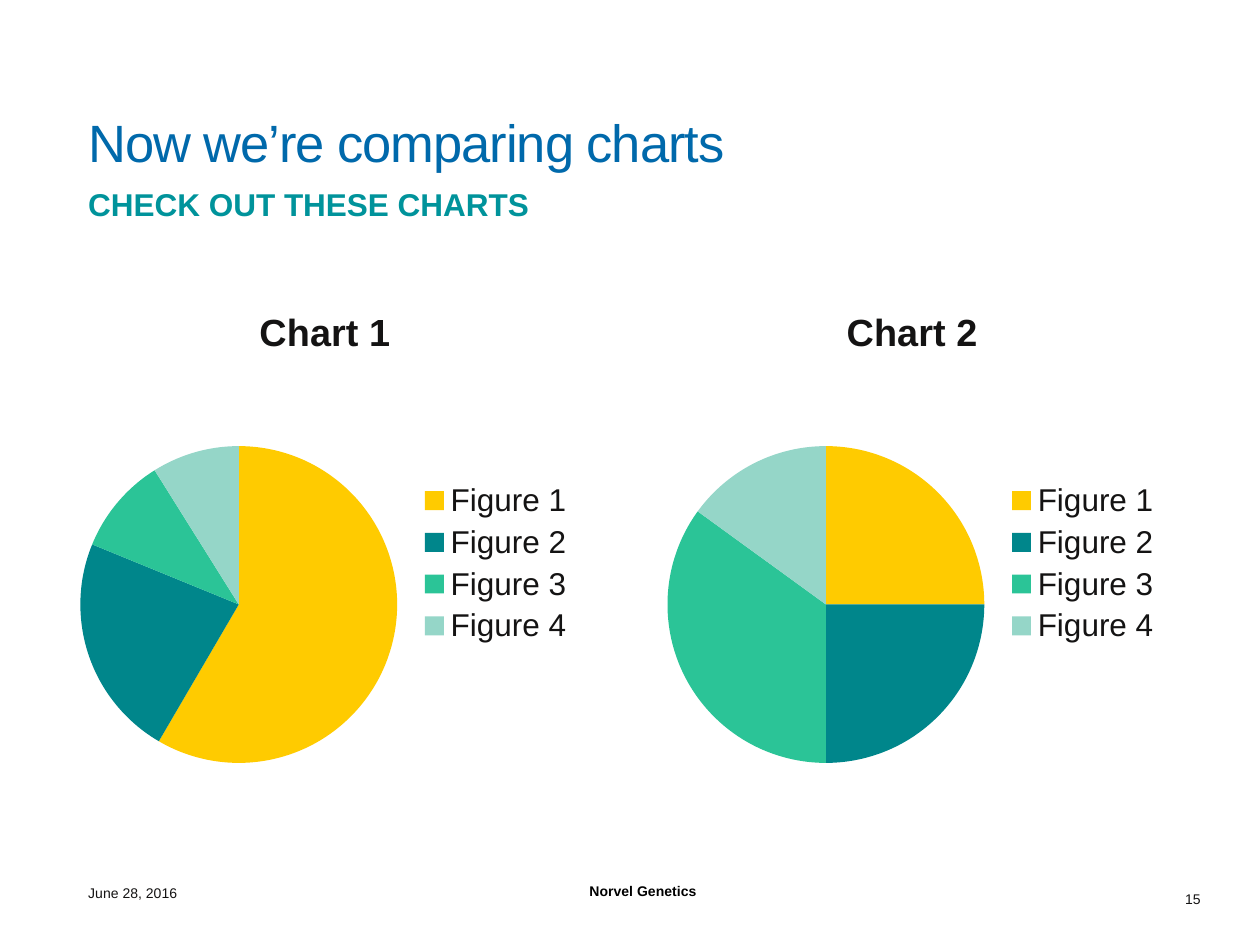
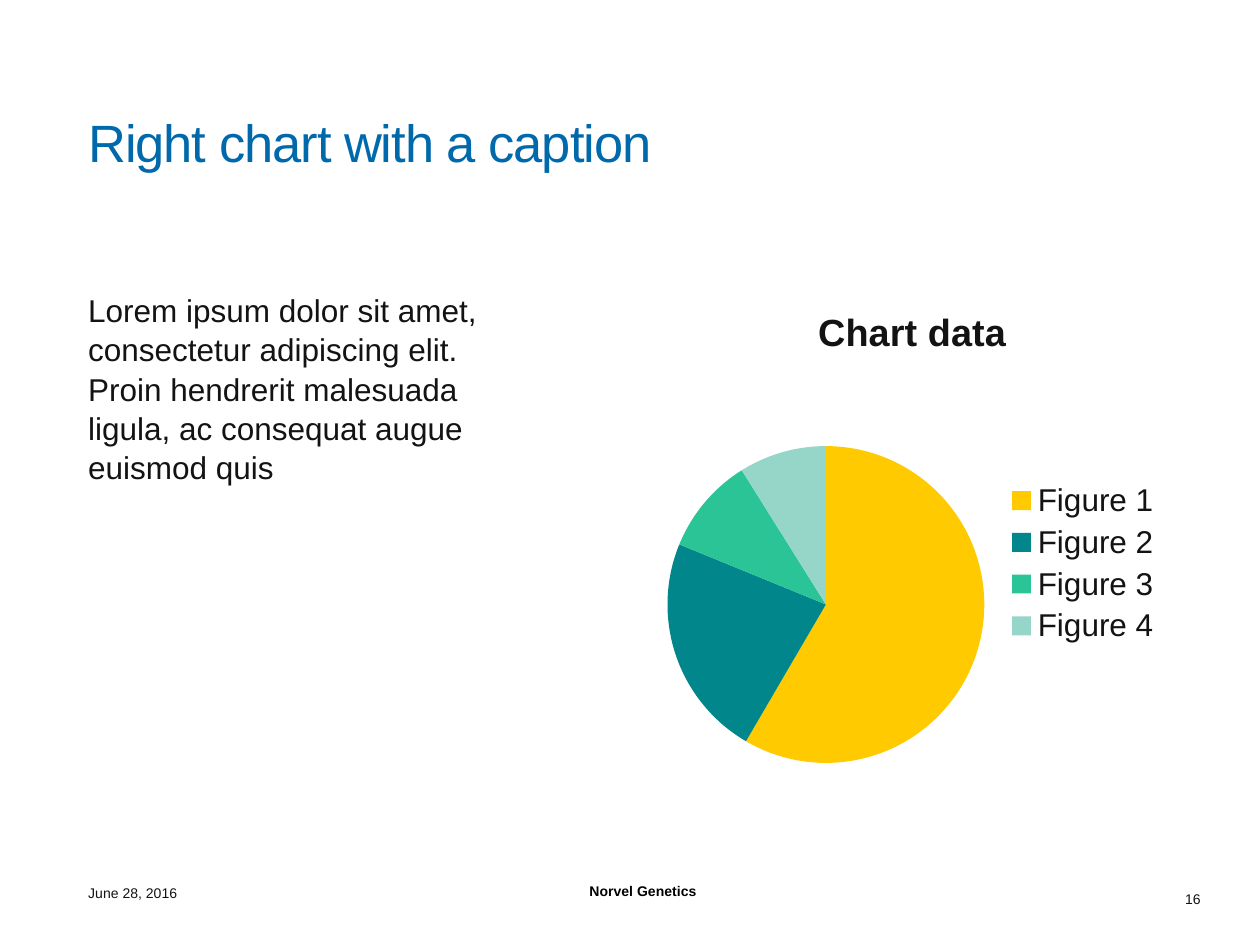
from pptx import Presentation
from pptx.chart.data import CategoryChartData
from pptx.dml.color import RGBColor
from pptx.enum import chart as ch, text
from pptx.util import Inches, Pt

# Content
FIGURES = ["Figure 1", "Figure 2", "Figure 3", "Figure 4"]
SLIDES = [
    {"number": "15", "title": "Now we’re comparing charts",
     "subtitle": "CHECK OUT THESE CHARTS",
     "columns": [("Chart 1", (59, 23, 10, 9)), ("Chart 2", (25, 25, 35, 15))]},
    {"number": "16", "title": "Right chart with a caption",
     "columns": ["Lorem ipsum dolor sit amet, consectetur adipiscing elit.\v"
                 "Proin hendrerit malesuada\vligula, ac consequat augue\veuismod quis",
                 ("Chart data", (59, 23, 10, 9))]},
]
DATE, FOOTER = "June 28, 2016", "Norvel Genetics"

# Shared look
FONT = "Arial"
COLORS = {"title": "0069AB", "subtitle": "00939B", "ink": "141313", "black": "000000"}
SLICES = ["FFCB00", "00868B", "2BC497", "95D6C8"]
LEFT, TOP, COL_W, COL_H, GAP = 0.5, 2.25, 4.16, 4.44, 0.5
INDENTED, PLAIN, FLUSH = (0.2, 0.05, 0.1, 0.05), (0.1, 0.05, 0.1, 0.05), (0, 0, 0, 0)
BOTTOM = text.MSO_ANCHOR.BOTTOM

# Text styles: place, insets, frame values, paragraph values, font values, colour
STYLES = {
    "title": ((LEFT, 0.07, 5.41, 1.35), INDENTED, {"vertical_anchor": BOTTOM}, {},
              {"size": Pt(30)}, "title"),
    "subtitle": ((LEFT, 1.42, 3.82, 0.4), INDENTED, {"word_wrap": False}, {},
                 {"size": Pt(18), "bold": True}, "subtitle"),
    "caption": ((LEFT, TOP, COL_W, COL_H), INDENTED, {}, {"line_spacing": 1.04},
                {"size": Pt(18)}, "ink"),
    "date": ((LEFT, 6.92, 2.62, 0.28), INDENTED, {"vertical_anchor": BOTTOM}, {},
             {"size": Pt(8)}, "ink"),
    "footer": ((4.58, 6.97, 3.78, 0.22), PLAIN, {}, {"line_spacing": 0.9},
               {"size": Pt(8), "bold": True}, "black"),
    "number": ((8.28, 6.92, 1.25, 0.28), FLUSH, {"vertical_anchor": BOTTOM},
               {"alignment": text.PP_ALIGN.RIGHT}, {"size": Pt(8)}, "ink"),
}


def apply(target, values):
    for name, value in values.items():
        setattr(target, name, value)


def set_font(font, color, **values):
    apply(font, {"name": FONT, **values})
    font.color.rgb = RGBColor.from_string(COLORS[color])


def add_text(s, style, words):
    place, insets, frame, para, font, color = STYLES[style]
    tf = s.shapes.add_textbox(*map(Inches, place)).text_frame
    sides = ("margin_left", "margin_top", "margin_right", "margin_bottom")
    apply(tf, {"word_wrap": True, **dict(zip(sides, map(Inches, insets))), **frame})
    p = tf.paragraphs[0]
    p.text = words
    apply(p, para)
    for r in p.runs:
        set_font(r.font, color, **font)
        if style == "title":
            r.font._element.set("spc", "-60")


def add_pie(s, column, name, values):
    data = CategoryChartData()
    data.categories = FIGURES
    data.add_series("Series 1", values)
    place = (LEFT + column * (COL_W + GAP), TOP, COL_W, COL_H)
    chart = s.shapes.add_chart(ch.XL_CHART_TYPE.PIE, *map(Inches, place), data).chart
    set_font(chart.font, "ink", size=Pt(18))

    # Title and legend
    apply(chart, {"has_title": True, "has_legend": True})
    tf = chart.chart_title.text_frame
    tf.text = name
    set_font(tf.paragraphs[0].runs[0].font, "ink", size=Pt(21.6), bold=True)
    apply(chart.legend, {"position": ch.XL_LEGEND_POSITION.RIGHT, "include_in_layout": False})

    # Slices
    plot = chart.plots[0]
    plot.vary_by_categories = True
    for i, color in enumerate(SLICES):
        fill = plot.series[0].points[i].format.fill
        fill.solid()
        fill.fore_color.rgb = RGBColor.from_string(color)


def main():
    prs = Presentation()
    prs.slide_width, prs.slide_height = Inches(10), Inches(7.5)
    for content in SLIDES:
        s = prs.slides.add_slide(prs.slide_layouts[6])
        # Header and footer
        for style in ("number", "title", "subtitle"):
            if style in content:
                add_text(s, style, content[style])
        add_text(s, "footer", FOOTER)
        add_text(s, "date", DATE)
        # Columns hold either a caption or a pie
        for column, item in enumerate(content["columns"]):
            if isinstance(item, str):
                add_text(s, "caption", item)
            else:
                add_pie(s, column, *item)
    prs.save("out.pptx")


if __name__ == "__main__":
    main()
